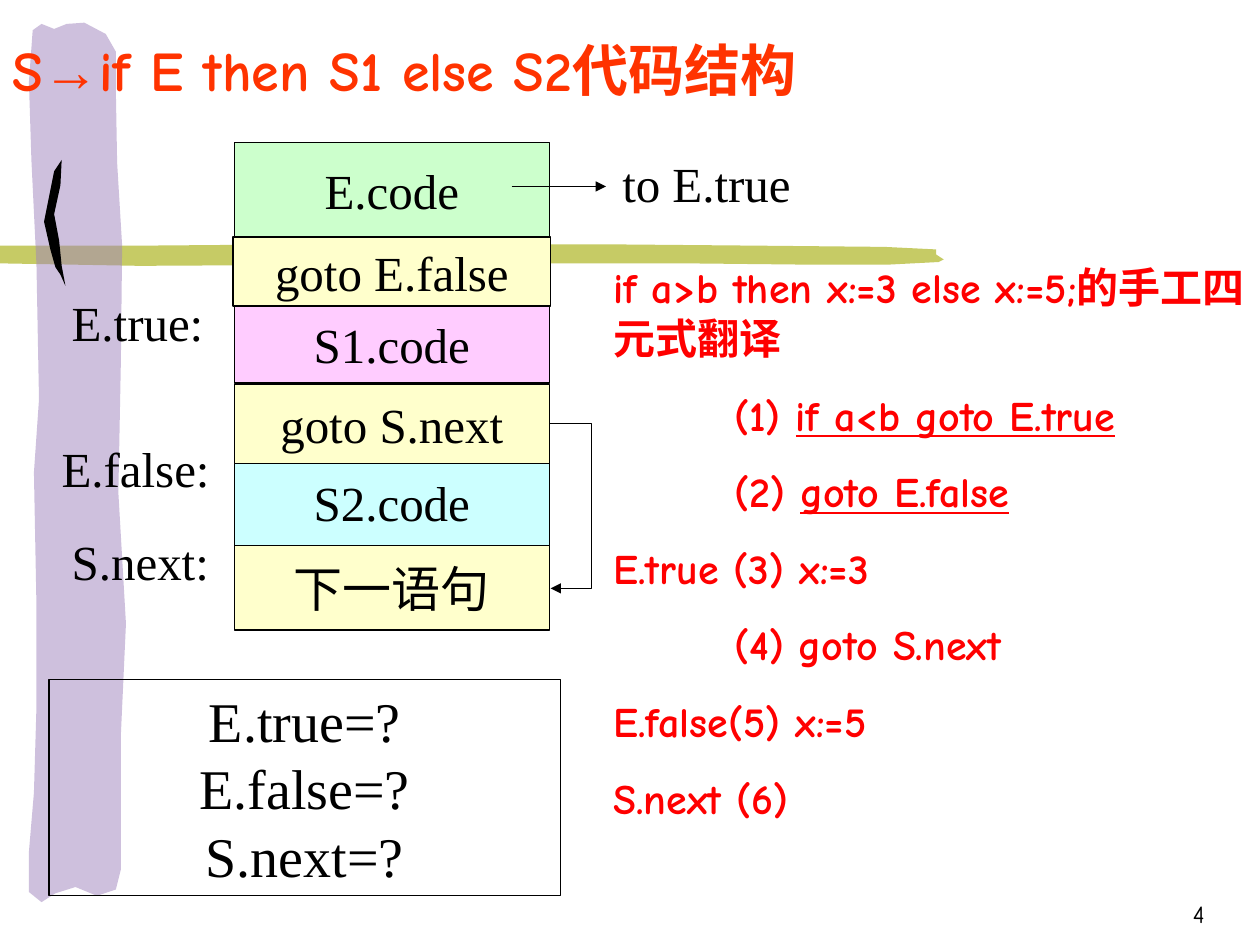
from dataclasses import dataclass

from lxml.etree import SubElement
from pptx import Presentation
from pptx.dml.color import RGBColor
from pptx.enum.shapes import MSO_CONNECTOR as CONNECTOR, MSO_SHAPE as SHAPE
from pptx.enum.text import MSO_ANCHOR as ANCHOR, PP_ALIGN as ALIGN
from pptx.oxml.ns import qn
from pptx.util import Inches, Pt


@dataclass(frozen=True)
class Theme:
    serif: str = "Times New Roman"
    comic: str = "Comic Neue"
    symbol: str = "Arial"
    ink: str = "000000"
    title: str = "FF3300"
    accent: str = "FF0000"
    olive: str = "C6CB65"
    purple: str = "9F83BD"
    green: str = "CCFFCC"
    yellow: str = "FFFFCC"
    pink: str = "FFCCFF"
    cyan: str = "CCFFFF"
    big: int = 32
    label: int = 28
    body: int = 24
    small: int = 14
    line: float = 0.75


THEME = Theme()
LABEL = {"size": THEME.label, "name": THEME.serif, "color": THEME.ink}
QUESTION = {**LABEL, "size": THEME.big}
TITLE = {"size": THEME.big, "name": THEME.comic, "color": THEME.title, "bold": True}
QUADRUPLE = {"size": THEME.body, "name": THEME.comic, "color": THEME.accent, "bold": True}
PAGE = {"size": THEME.small, "name": THEME.comic, "color": THEME.ink}

STACK_LEFT, STACK_WIDTH = 1.86, 2.5
STACK_RIGHT = STACK_LEFT + STACK_WIDTH
CODE_INDENT = 0.96

# Code blocks from back to front: text, left, top, width, height, fill
BLOCKS = [
    ("E.code", STACK_LEFT, 1.13, STACK_WIDTH, 0.75, THEME.green),
    ("S1.code", STACK_LEFT, 2.42, STACK_WIDTH, 0.62, THEME.pink),
    ("S2.code", STACK_LEFT, 3.59, STACK_WIDTH, 0.78, THEME.cyan),
    ("goto S.next", STACK_LEFT, 3.05, STACK_WIDTH, 0.63, THEME.yellow),
    ("下一语句", STACK_LEFT, 4.33, STACK_WIDTH, 0.67, THEME.yellow),
    ("goto E.false", 1.85, 1.88, 2.52, 0.55, THEME.yellow),
]
LABELS = [
    ("E.true:", 0.47, 2.27, 1.58),
    ("E.false:", 0.39, 3.43, 1.58),
    ("S.next:", 0.47, 4.17, 1.58),
    ("to E.true", 4.84, 1.17, 1.75),
]
# Each line: indent, then (text, underlined) runs
QUADRUPLES = [
    (0, [("if a>b then x:=3 else x:=5;的手工四元式翻译", False)]),
    (CODE_INDENT, [("(1) ", False), ("if a<b goto E.true", True)]),
    (CODE_INDENT, [("(2) ", False), ("goto E.false", True)]),
    (0, [("E.true (3) x:=3", False)]),
    (CODE_INDENT, [("(4) goto S.next", False)]),
    (0, [("E.false(5) x:=5", False)]),
    (0, [("S.next (6)", False)]),
]
HORIZONTAL_STROKE = [
    (6.01, 1.95), (7.02, 1.96), (7.43, 1.98), (7.43, 2.02), (7.49, 2.06), (7.45, 2.08),
    (7.06, 2.1), (6.35, 2.1), (5.41, 2.09), (4.14, 2.09), (2.98, 2.1), (1.11, 2.11),
    (-0.02, 2.09), (-0.03, 1.95), (1.11, 1.95), (2.32, 1.94), (3.91, 1.94), (4.89, 1.94),
]
VERTICAL_STROKE = [
    (0.29, 5.61), (0.29, 4.81), (0.27, 3.75), (0.31, 3.17), (0.29, 2.1), (0.25, 1.27),
    (0.23, 0.65), (0.26, 0.24), (0.33, 0.19), (0.43, 0.23), (0.53, 0.19), (0.67, 0.18),
    (0.84, 0.27), (0.92, 0.41), (0.92, 0.71), (0.93, 1.29), (0.97, 1.95), (0.96, 2.86),
    (0.94, 3.91), (1, 4.95), (0.96, 5.83), (0.96, 6.9), (0.92, 7.06), (0.77, 7.11),
    (0.6, 7.04), (0.44, 7.09), (0.33, 7.16), (0.23, 7.08), (0.23, 6.76), (0.27, 6.29),
]
BRACKET = [
    (0.49, 1.27), (0.48, 1.47), (0.43, 1.7), (0.47, 1.91), (0.49, 2.11), (0.52, 2.27),
    (0.48, 2.18), (0.44, 2.12), (0.4, 1.98), (0.35, 1.76), (0.39, 1.56), (0.43, 1.36),
]


def add_stroke(slide, points, color, opacity=100):
    """Draw a closed, filled brush outline."""
    start, *rest = [(Inches(x), Inches(y)) for x, y in points]
    builder = slide.shapes.build_freeform(*start)
    builder.add_line_segments(rest, close=True)
    stroke = builder.convert_to_shape()
    stroke.shadow.inherit = False
    stroke.line.fill.background()
    stroke.fill.solid()
    stroke.fill.fore_color.rgb = RGBColor.from_string(color)
    if opacity < 100:
        swatch = stroke.fill._xPr.find(f".//{qn('a:srgbClr')}")
        SubElement(swatch, qn("a:alpha"), val=str(opacity * 1000))


def add_run(paragraph, text, style):
    run = paragraph.add_run()
    run.text = text
    for key, value in style.items():
        if key == "color":
            run.font.color.rgb = RGBColor.from_string(value)
        else:
            setattr(run.font, key, Pt(value) if key == "size" else value)


def write_lines(frame, lines, style, align=ALIGN.LEFT, gap=0):
    """Write (indent, runs) lines, each run a text with style changes."""
    for index, (indent, runs) in enumerate(lines):
        paragraph = frame.add_paragraph() if index else frame.paragraphs[0]
        paragraph.alignment = align
        if index and gap:
            paragraph.space_before = Pt(gap)
        if indent:
            paragraph._p.get_or_add_pPr().set("marL", str(Inches(indent)))
        for text, changes in runs:
            add_run(paragraph, text, {**style, **changes})


def add_text(slide, box, lines, style, anchor=ANCHOR.TOP, **layout):
    frame = slide.shapes.add_textbox(*map(Inches, box)).text_frame
    frame.word_wrap = True
    frame.vertical_anchor = anchor
    write_lines(frame, lines, style, **layout)


def add_block(slide, box, texts, style, fill=None):
    block = slide.shapes.add_shape(SHAPE.RECTANGLE, *map(Inches, box))
    block.shadow.inherit = False
    if fill:
        block.fill.solid()
        block.fill.fore_color.rgb = RGBColor.from_string(fill)
    else:
        block.fill.background()
    block.line.color.rgb = RGBColor.from_string(THEME.ink)
    block.line.width = Pt(THEME.line)
    frame = block.text_frame
    frame.word_wrap = False
    frame.vertical_anchor = ANCHOR.MIDDLE
    write_lines(frame, [(0, [(text, {})]) for text in texts], style, ALIGN.CENTER)


def add_arrow(slide, kind, start, end, bend=None):
    """Connect two points; bend is the elbow's reach in widths of the arrow."""
    arrow = slide.shapes.add_connector(kind, *map(Inches, (*start, *end)))
    arrow.line.color.rgb = RGBColor.from_string(THEME.ink)
    arrow.line.width = Pt(THEME.line)
    SubElement(arrow.line._get_or_add_ln(), qn("a:tailEnd"), type="triangle")
    properties = arrow._element.spPr
    SubElement(properties, qn("a:effectLst"))
    if bend:
        guides = properties.find(qn("a:prstGeom")).get_or_add_avLst()
        SubElement(guides, qn("a:gd"), name="adj1", fmla=f"val {bend * 100000}")


def main():
    deck = Presentation()
    deck.slide_width, deck.slide_height = Inches(10), Inches(7.5)
    slide = deck.slides.add_slide(deck.slide_layouts[6])

    add_stroke(slide, HORIZONTAL_STROKE, THEME.olive)
    add_stroke(slide, VERTICAL_STROKE, THEME.purple, opacity=50)
    add_stroke(slide, BRACKET, THEME.ink)
    add_text(slide, (7.58, 6.92, 2.08, 0.5), [(0, [("4", {})])], PAGE,
             ANCHOR.BOTTOM, align=ALIGN.RIGHT)

    for text, *box, fill in BLOCKS:
        add_block(slide, box, [text], LABEL, fill)
    for text, left, top, width in LABELS:
        add_text(slide, (left, top, width, 0.57), [(0, [(text, {})])], LABEL)
    add_arrow(slide, CONNECTOR.STRAIGHT, (4.06, 1.48), (4.81, 1.48))
    add_arrow(slide, CONNECTOR.ELBOW, (STACK_RIGHT, 3.36), (STACK_RIGHT + 0.01, 4.67), bend=34)

    heading = [("S", {}), ("→", {"name": THEME.symbol}), ("if E then S1 else S2代码结构", {})]
    add_text(slide, (0, 0.23, 7.66, 0.64), [(0, heading)], TITLE)
    quadruples = [(indent, [(text, {"underline": lined}) for text, lined in runs])
                  for indent, runs in QUADRUPLES]
    add_text(slide, (4.77, 2.03, 5.23, 4.55), quadruples, QUADRUPLE, gap=15)
    add_block(slide, (0.39, 5.39, 4.06, 1.72),
              ["E.true=?", "E.false=?", "S.next=?"], QUESTION)

    deck.save("out.pptx")


if __name__ == "__main__":
    main()
